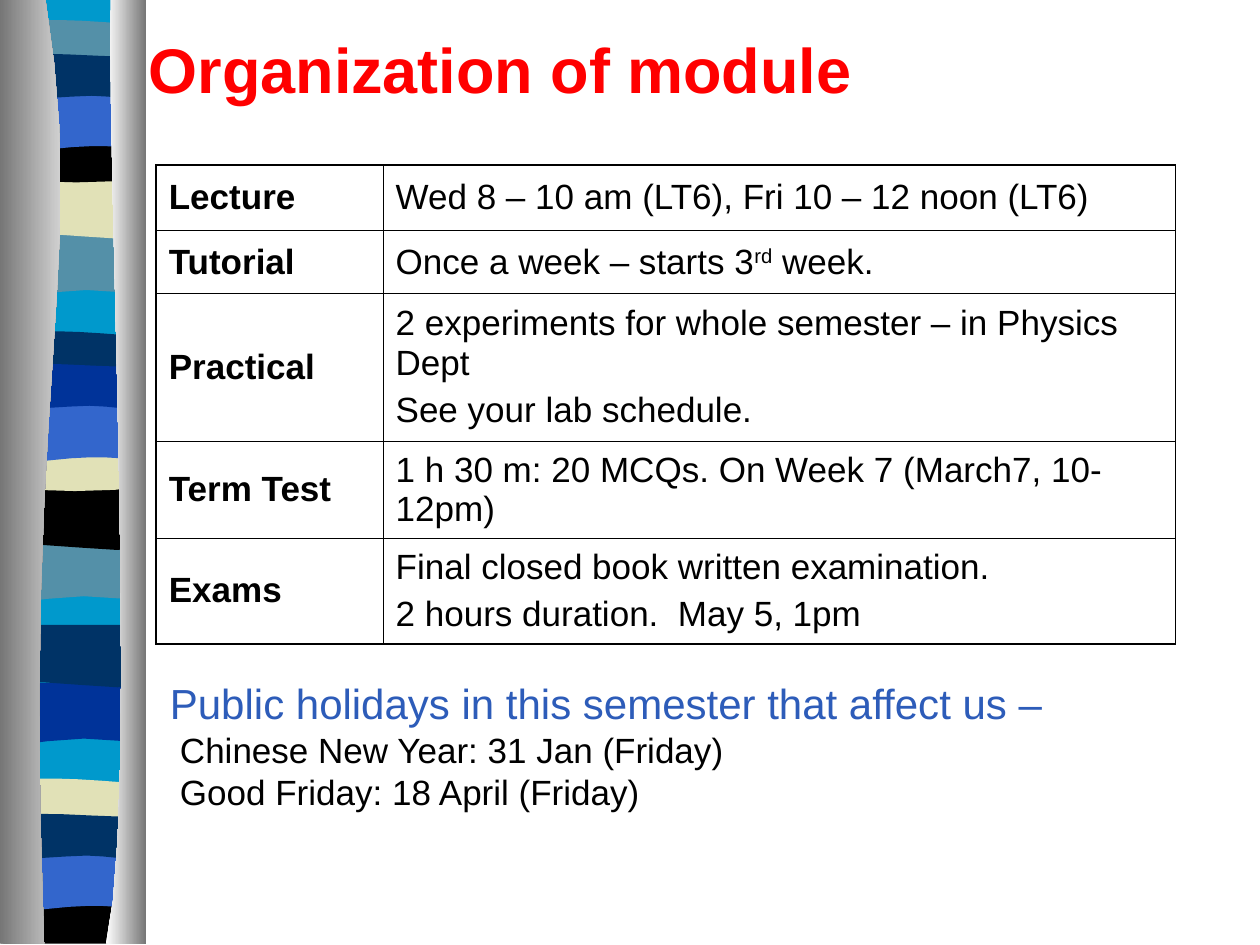
"""Build the "Organization of module" slide with its striped side ribbon."""
from dataclasses import dataclass

from lxml import etree
from pptx import Presentation
from pptx.dml.color import RGBColor
from pptx.enum.text import MSO_ANCHOR, PP_ALIGN
from pptx.oxml.ns import qn
from pptx.util import Inches, Pt

MIDDLE, TOP, LEFT = MSO_ANCHOR.MIDDLE, MSO_ANCHOR.TOP, PP_ALIGN.LEFT
COLS, ROWS = 1000, 750
CELL = Inches(0.01)
FONT = "Arial"
BLACK, RED, BLUE = "000000", "FF0000", "2D5CB9"
SKY, TEAL, SAND = "0099CC", "5490A8", "E1E1B7"
NAVY, ROYAL, AZURE = "003366", "003399", "3366CC"
THICK, THIN = 1.08, 0.45

Point = tuple[float, float]
Outline = list[tuple[Point, ...]]

DIP = [((107, 0),), ((107, 47),), ((33, 38), (18, 54), (0, 47)), ((0, 0),)]
WAVE = [((107, 0),), ((107, 47),), ((89, 55), (33, 41), (0, 47)), ((0, 0),)]
LENS = [((107, 5),), ((107, 30),), ((89, 34), (18, 34), (0, 30)), ((0, 5),),
        ((7, 0), (23, 1), (41, 1)), ((59, 1), (93, 4), (107, 5))]
SAG = [((107, 0),), ((107, 33),), ((89, 38), (18, 38), (0, 33)), ((0, 0),),
       ((66, 5), (84, 0), (107, 0))]
ARCH = [((107, 0),), ((107, 47),), ((90, 42), (84, 42), (66, 42)),
        ((48, 42), (17, 47), (0, 47)), ((0, 0),)]
FLAG = [((106, 5),), ((106, 36),), ((99, 41), (83, 36), (65, 36)),
        ((47, 36), (10, 41), (0, 36)), ((0, 5),), ((15, 0), (72, 5), (89, 5))]
FOOT = [((107, 0),), ((107, 37),), ((0, 37),), ((0, 0),),
        ((66, 5), (84, 0), (107, 0))]
BACKING = [((106, 0),), ((106, 747),), ((0, 747),), ((0, 0),)]
LEFT_EDGE = [((36, 0),), ((71, 216), (17, 296), (35, 750)), ((0, 750),), ((0, 0),)]
RIGHT_EDGE = [((88, 0),), ((84, 125), (111, 646), (84, 750)), ((116, 750),), ((116, 0),)]


@dataclass
class Band:
    """A coloured stripe: outline, grid position, colours and steps per curve."""
    outline: Outline
    left: int
    top: int
    colours: tuple[str, ...]
    steps: int = 4


@dataclass
class Entry:
    """A table row: label, paragraphs of (text, baseline) runs and row height."""
    label: str
    details: list[list[tuple[str, int]]]
    height: int


RIBBON = [
    Band(BACKING, 8, -1, (SKY,)),
    Band(DIP, 7, 186, (TEAL,)), Band(WAVE, 8, 140, (SAND,)),
    Band(LENS, 8, 15, (TEAL,)), Band(SAG, 7, 108, (BLACK,)),
    Band(ARCH, 7, 74, (AZURE,)), Band(FLAG, 8, 40, (NAVY,)),
    Band(DIP, 5, 429, (TEAL,)), Band(WAVE, 6, 387, (BLACK,)),
    Band(LENS, 6, 262, (NAVY,)), Band(SAG, 6, 353, (SAND,)),
    Band(ARCH, 6, 321, (AZURE,)), Band(FLAG, 6, 286, (ROYAL,)),
    Band(DIP, 5, 542, (ROYAL,)), Band(WAVE, 6, 496, (NAVY,)),
    Band(LENS, 5, 617, (SAND,)), Band(FOOT, 5, 712, (BLACK,)),
    Band(ARCH, 4, 677, (AZURE,)), Band(FLAG, 4, 643, (NAVY,)),
    Band(LEFT_EDGE, 0, -1, ("767676", "D1D1D1"), 12),
    Band(RIGHT_EDGE, 0, -1, ("FFFFFF", "767676"), 12),
]
SCHEDULE = [
    Entry("Lecture", [[("Wed 8 – 10 am (LT6), Fri 10 – 12 noon (LT6)", 0)]], 52),
    Entry("Tutorial", [[("Once a week – starts 3", 0), ("rd", 30), (" week.", 0)]], 50),
    Entry("Practical", [[("2 experiments for whole semester – in Physics Dept", 0)],
                        [("See your lab schedule.", 0)]], 117),
    Entry("Term Test", [[("1 h 30 m: 20 MCQs. On Week 7 (March7, 10-12pm)", 0)]], 77),
    Entry("Exams", [[("Final closed book written examination.", 0)],
                    [("2 hours duration.  May 5, 1pm", 0)]], 84),
]
HOLIDAYS = ["Public holidays in this semester that affect us –",
            "Chinese New Year: 31 Jan (Friday)", "Good Friday: 18 April (Friday)"]


def rgb(colour: str) -> RGBColor:
    """Turn a hex string into a colour."""
    return RGBColor.from_string(colour)


def grid(*lengths: float) -> list[int]:
    """Turn grid cells into slide lengths."""
    return [round(n * CELL) for n in lengths]


def style(font, size: float, colour: str, bold: bool = False) -> None:
    """Set the face, size, colour and weight of a font."""
    font.name, font.size, font.bold = FONT, Pt(size), bold
    font.color.rgb = rgb(colour)


def trace(outline: Outline, steps: int) -> list[Point]:
    """Turn lines and cubic curves into a list of points."""
    points = [outline[0][0]]
    for segment in outline[1:]:
        if len(segment) == 1:
            points.append(segment[0])
            continue
        corners = (points[-1], *segment)
        for i in range(1, steps + 1):
            t = i / steps
            weights = ((1 - t) ** 3, 3 * t * (1 - t) ** 2, 3 * t * t * (1 - t), t ** 3)
            points.append(tuple(sum(w * c[axis] for w, c in zip(weights, corners))
                                for axis in (0, 1)))
    return points


def draw_band(s, band: Band) -> None:
    """Draw one stripe in a solid colour or a gradient."""
    points = [tuple(grid(x + band.left, y + band.top))
              for x, y in trace(band.outline, band.steps)]
    builder = s.shapes.build_freeform(*points[0])
    builder.add_line_segments(points[1:])
    sp = builder.convert_to_shape()
    sp.shadow.inherit = False
    sp.line.fill.background()
    if len(band.colours) == 1:
        sp.fill.solid()
        sp.fill.fore_color.rgb = rgb(band.colours[0])
        return
    sp.fill.gradient()
    sp.fill.gradient_angle = 0
    for stop, colour in zip(sp.fill.gradient_stops, band.colours):
        stop.color.rgb = rgb(colour)


def draw_borders(cell, widths: dict[str, float]) -> None:
    """Give a cell black borders of the given widths."""
    tc_pr = cell._tc.get_or_add_tcPr()
    for side, width in widths.items():
        ln = etree.SubElement(tc_pr, qn(f"a:ln{side}"), w=str(Pt(width)))
        fill = etree.SubElement(ln, qn("a:solidFill"))
        etree.SubElement(fill, qn("a:srgbClr"), val=BLACK)


def fill_cell(cell, paragraphs: list[list[tuple[str, int]]], bold: bool) -> None:
    """Write formatted paragraphs into a cell."""
    cell.vertical_anchor = MIDDLE
    tf = cell.text_frame
    for i, runs in enumerate(paragraphs):
        p = tf.add_paragraph() if i else tf.paragraphs[0]
        if i:
            p.space_before = Pt(5)
        for text, baseline in runs:
            r = p.add_run()
            r.text = text
            style(r.font, 20, BLACK, bold)
            if baseline:
                r.font._element.set("baseline", str(baseline * 1000))


def draw_schedule(s) -> None:
    """Draw the schedule table with a heavier outer frame."""
    height = sum(e.height for e in SCHEDULE)
    table = s.shapes.add_table(len(SCHEDULE), 2, *grid(124, 131, 809, height)).table
    table.first_row = table.horz_banding = False
    table.columns[0].width, table.columns[1].width = grid(180, 629)
    last = len(SCHEDULE) - 1
    for i, entry in enumerate(SCHEDULE):
        table.rows[i].height = grid(entry.height)[0]
        for j, paragraphs in enumerate(([[(entry.label, 0)]], entry.details)):
            cell = table.cell(i, j)
            outer = {"L": j == 0, "R": j == 1, "T": i == 0, "B": i == last}
            draw_borders(cell, {k: THICK if v else THIN for k, v in outer.items()})
            cell.fill.background()
            fill_cell(cell, paragraphs, j == 0)


def draw_title(s) -> None:
    """Place and format the slide title."""
    sp = s.shapes.title
    sp.left, sp.top, sp.width, sp.height = grid(108, 8, 850, 92)
    tf = sp.text_frame
    tf.text = "Organization of module"
    tf.vertical_anchor = MIDDLE
    p = tf.paragraphs[0]
    p.alignment = LEFT
    style(p.runs[0].font, 36, RED, True)


def draw_holidays(s) -> None:
    """Write the holiday heading and its indented dates."""
    tf = s.shapes.add_textbox(*grid(125, 533, 855, 117)).text_frame
    tf.word_wrap = True
    tf.vertical_anchor = TOP
    tf.text = "\n".join(HOLIDAYS)
    for i, p in enumerate(tf.paragraphs):
        style(p.runs[0].font, 20 if i else 24, BLACK if i else BLUE)
        if i:
            p._p.get_or_add_pPr().set("marL", str(grid(8)[0]))


def main() -> None:
    """Build and save the slide."""
    prs = Presentation()
    prs.slide_width, prs.slide_height = grid(COLS, ROWS)
    s = prs.slides.add_slide(prs.slide_layouts[5])
    for band in RIBBON:
        draw_band(s, band)
    draw_title(s)
    draw_schedule(s)
    draw_holidays(s)
    prs.save("out.pptx")


if __name__ == "__main__":
    main()
